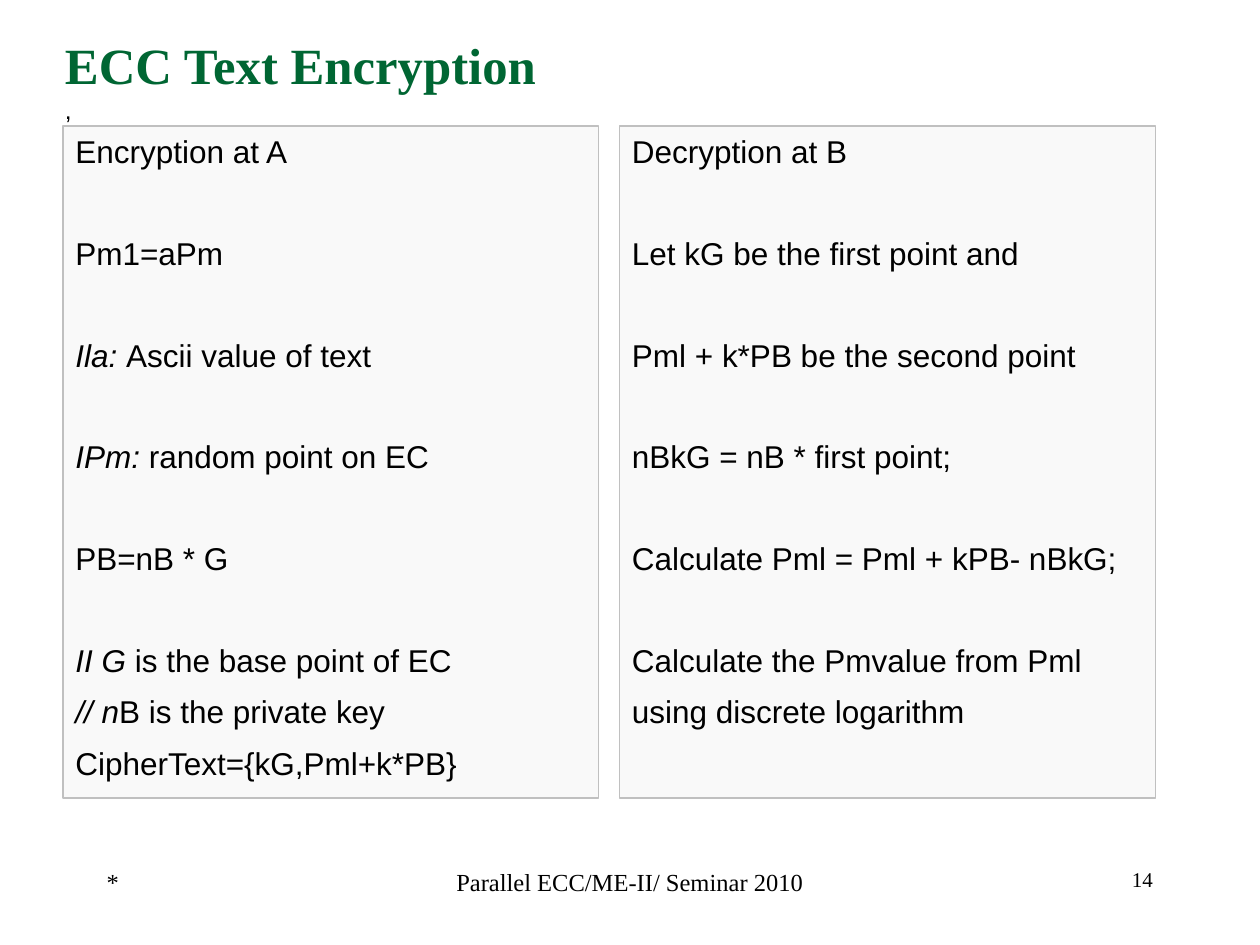
from lxml import etree
from pptx import Presentation
from pptx.dml.color import RGBColor
from pptx.enum.shapes import MSO_SHAPE
from pptx.enum.text import MSO_ANCHOR, PP_ALIGN
from pptx.oxml.ns import qn
from pptx.util import Cm, Pt

BLACK = RGBColor(0x00, 0x00, 0x00)
GREEN = RGBColor(0x00, 0x66, 0x33)
GRAY = RGBColor(0xC0, 0xC0, 0xC0)
SERIF, SANS = "Times New Roman", "Arial"
LEFT, CENTER, RIGHT = PP_ALIGN.LEFT, PP_ALIGN.CENTER, PP_ALIGN.RIGHT
TOP, MIDDLE = MSO_ANCHOR.TOP, MSO_ANCHOR.MIDDLE
RECTANGLE = MSO_SHAPE.RECTANGLE

# Content: each panel line is (italic lead, plain text, space before in points)
CLOSE, APART = 7.9, 36.5
PANELS = [
    [
        ("", "Encryption at A", 0),
        ("", "Pm1=aPm", APART),
        ("Ila: ", "Ascii value of text", APART),
        ("IPm: ", "random point on EC", APART),
        ("", "PB=nB * G", APART),
        ("II G ", "is the base point of EC", APART),
        ("// n", "B is the private key", CLOSE),
        ("", "CipherText={kG,Pml+k*PB}", CLOSE),
    ],
    [
        ("", "Decryption at B", 0),
        ("", "Let kG be the first point and", APART),
        ("", "Pml + k*PB be the second point", APART),
        ("", "nBkG = nB * first point;", APART),
        ("", "Calculate Pml = Pml + kPB- nBkG;", APART),
        ("", "Calculate the Pmvalue from Pml", APART),
        ("", "using discrete logarithm", CLOSE),
    ],
]
# Footer: text, left, width (cm), size, alignment
FOOTER = [
    ("*", 1.9, 5.29, 14, LEFT),
    ("Parallel ECC/ME-II/ Seminar 2010", 8.68, 8.04, 14, CENTER),
    ("14", 18.2, 5.29, 12, RIGHT),
]
# Title block: text, size, font, colour, bold
TITLE = [
    ("ECC Text Encryption", 29, SERIF, GREEN, True),
    (",", 14, SANS, BLACK, False),
]
PANEL_LEFT, PANEL_TOP, PANEL_WIDTH, PANEL_HEIGHT = 1.27, 2.54, 10.8, 13.55
PANEL_STEP = 11.22


def style(span, size, font, color=BLACK, bold=False, italic=False):
    span.font.size = Pt(size)
    span.font.name = font
    span.font.color.rgb = color
    span.font.bold = bold
    span.font.italic = italic


def next_paragraph(frame, index):
    return frame.add_paragraph() if index else frame.paragraphs[0]


def add_text_box(page, left, top, width, height, anchor=TOP):
    box = page.shapes.add_textbox(Cm(left), Cm(top), Cm(width), Cm(height))
    frame = box.text_frame
    frame.word_wrap = True
    frame.vertical_anchor = anchor
    return frame


def add_panel(page, left, lines):
    panel = page.shapes.add_shape(
        RECTANGLE, Cm(left), Cm(PANEL_TOP), Cm(PANEL_WIDTH), Cm(PANEL_HEIGHT))
    panel.shadow.inherit = False
    panel.fill.solid()
    panel.fill.fore_color.rgb = GRAY
    tint = panel.fill._xPr.find(".//" + qn("a:srgbClr"))
    etree.SubElement(tint, qn("a:alpha"), val="9000")
    panel.line.color.rgb = GRAY
    panel.line.width = Pt(0.75)
    frame = panel.text_frame
    frame.word_wrap = True
    frame.vertical_anchor = TOP
    for index, (lead, text, space) in enumerate(lines):
        para = next_paragraph(frame, index)
        para.alignment = LEFT
        para.space_before = Pt(space)
        for part, italic in ((lead, True), (text, False)):
            if part:
                span = para.add_run()
                span.text = part
                style(span, 18, SANS, italic=italic)


def main():
    deck = Presentation()
    deck.slide_width, deck.slide_height = Cm(25.4), Cm(19.05)
    page = deck.slides.add_slide(deck.slide_layouts[6])

    # Footer
    for text, left, width, size, alignment in FOOTER:
        frame = add_text_box(page, left, 17.35, width, 1.27)
        frame.text = text
        para = frame.paragraphs[0]
        para.alignment = alignment
        style(para.runs[0], size, SERIF)

    # Two panels side by side
    for column, lines in enumerate(PANELS):
        add_panel(page, PANEL_LEFT + column * PANEL_STEP, lines)

    # Title
    frame = add_text_box(page, 1.06, 0.85, 23.7, 1.48, MIDDLE)
    for index, (text, size, font, color, bold) in enumerate(TITLE):
        para = next_paragraph(frame, index)
        para.text = text
        style(para.runs[0], size, font, color, bold)

    deck.save("out.pptx")


if __name__ == "__main__":
    main()
